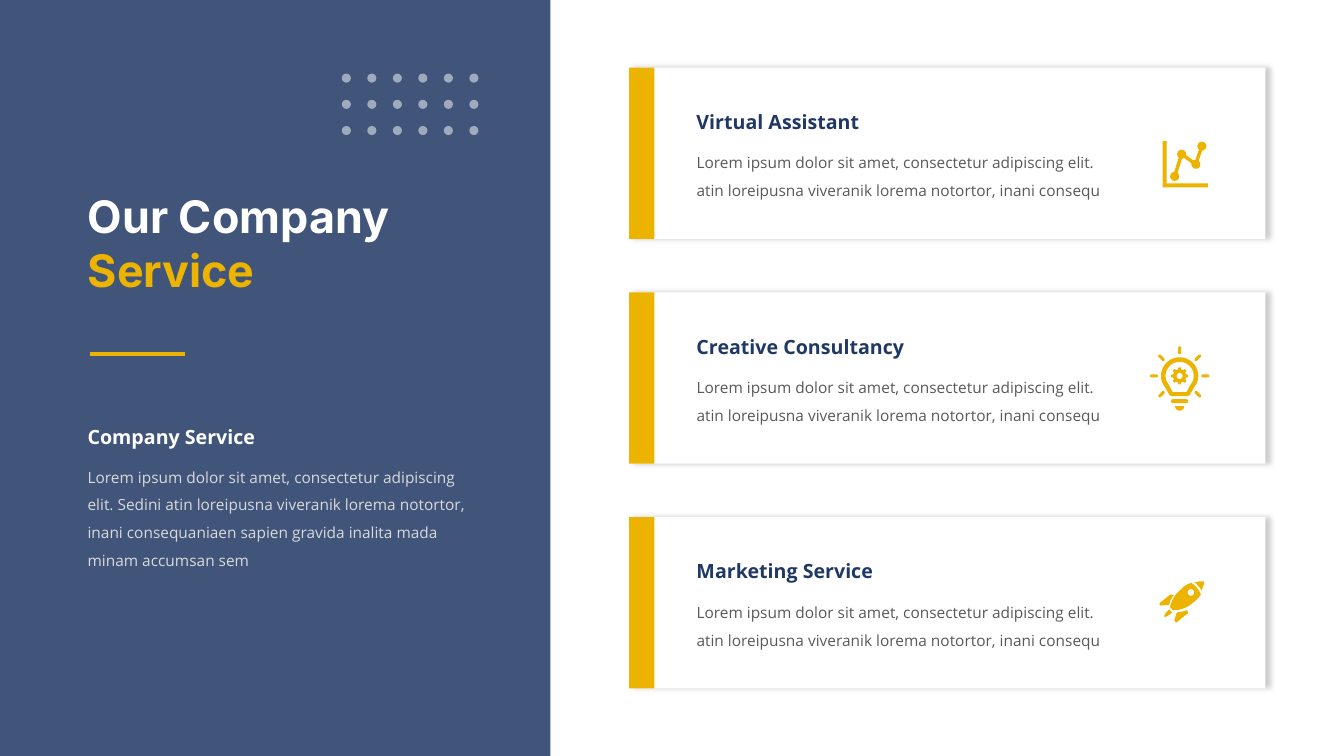
import math
import pptx
import pptx.util
import pptx.dml.color
import pptx.enum.shapes
import pptx.enum.text
import pptx.oxml
import pptx.oxml.ns

Inches = pptx.util.Inches
KIND = pptx.enum.shapes.MSO_SHAPE
NAVY, GOLD, WHITE, GREY, PALE = "203864", "ECB400", "FFFFFF", "595959", "D9D9D9"
NS = pptx.oxml.ns.nsdecls("a")


def tint(color, code):
    color.rgb = pptx.dml.color.RGBColor.from_string(code)


def paint(shape, code, alpha=None):
    shape.shadow.inherit = False
    shape.line.fill.background()
    shape.fill.solid()
    tint(shape.fill.fore_color, code)
    if alpha:
        node = shape.fill._xPr.find(".//" + pptx.oxml.ns.qn("a:srgbClr"))
        node.append(pptx.oxml.parse_xml(f'<a:alpha {NS} val="{alpha * 1000}"/>'))
    return shape


def block(slide, kind, x, y, w, h, code, alpha=None):
    shape = slide.shapes.add_shape(kind, Inches(x), Inches(y), Inches(w), Inches(h))
    return paint(shape, code, alpha)


def style(para, face, size, bold=False, code=None):
    para.font.name, para.font.size, para.font.bold = face, pptx.util.Pt(size), bold
    if code:
        tint(para.font.color, code)


def label(slide, x, y, w, h, text, size, code, bold=False, lead=None):
    box = slide.shapes.add_textbox(Inches(x), Inches(y), Inches(w), Inches(h))
    box.text_frame.word_wrap = True
    para = box.text_frame.paragraphs[0]
    para.text = text
    para.line_spacing = lead
    style(para, "Open Sans", size, bold, code)


# Outlines: a pair is a corner, six numbers are a cubic curve
def trace(steps):
    points = []
    for step in steps:
        if len(step) == 2:
            points.append(step)
            continue
        start = points[-1]
        for t in (n / 8 for n in range(1, 9)):
            s = 1 - t
            points.append(tuple(
                s**3 * start[i] + 3 * s * s * t * step[i]
                + 3 * s * t * t * step[i + 2] + t**3 * step[i + 4] for i in (0, 1)))
    return points


def arc(x, y, r, start, end, count=36):
    turns = (math.radians(start + (end - start) * n / count) for n in range(count + 1))
    return [(x + r * math.cos(a), y + r * math.sin(a)) for a in turns]


def outline(slide, x, y, *loops):
    build = None
    for loop in loops:
        points = [(Inches(x + a), Inches(y + b)) for a, b in trace(loop)]
        if build:
            build.move_to(*points[0])
        else:
            build = slide.shapes.build_freeform(*points[0])
        build.add_line_segments(points[1:], close=True)
    return paint(build.convert_to_shape(), GOLD)


# Icons, each placed from its top left corner
def chart(slide, x, y):
    x, y = x + 0.12, y + 0.2
    outline(slide, x, y, [(0, 0), (0.04, 0), (0.04, 0.42), (0.45, 0.42), (0.45, 0.46), (0, 0.46)])
    nodes = [(0.12, 0.35), (0.19, 0.13), (0.33, 0.23), (0.39, 0.05)]
    for (a, b), (c, d) in zip(nodes, nodes[1:]):
        long = math.hypot(c - a, d - b)
        u, v = (d - b) / long * 0.017, (a - c) / long * 0.017
        outline(slide, x, y, [(a + u, b + v), (c + u, d + v), (c - u, d - v), (a - u, b - v)])
    for a, b in nodes:
        block(slide, KIND.OVAL, x + a - 0.045, y + b - 0.045, 0.09, 0.09, GOLD)


def bulb(slide, x, y):
    x, y = x + 0.29, y + 0.3
    # Glass
    outline(slide, x, y,
            arc(0, 0, 0.185, 157, 383) + [(0.14, 0.12), (0.1, 0.19), (0.08, 0.2),
                                          (-0.08, 0.2), (-0.1, 0.19), (-0.14, 0.12)],
            arc(0, 0, 0.14, 157, 383) + [(0.1, 0.1), (0.07, 0.16), (-0.07, 0.16), (-0.1, 0.1)])
    # Gear
    rim = []
    for turn in range(0, 360, 45):
        for r, shift in ((0.065, -15), (0.085, -8), (0.085, 8), (0.065, 15)):
            a = math.radians(turn + shift)
            rim.append((r * math.cos(a), r * math.sin(a)))
    outline(slide, x, y, rim, arc(0, 0, 0.03, 0, 360))
    # Base
    base = block(slide, KIND.ROUNDED_RECTANGLE, x - 0.085, y + 0.23, 0.17, 0.04, GOLD)
    base.adjustments[0] = 0.5
    outline(slide, x, y + 0.3, arc(0, 0, 0.045, 0, 180))
    # Rays
    for turn in range(135, 406, 45):
        a = math.radians(turn)
        ray = block(slide, KIND.ROUNDED_RECTANGLE, x + 0.255 * math.cos(a) - 0.04,
                    y + 0.255 * math.sin(a) - 0.015, 0.08, 0.03, GOLD)
        ray.adjustments[0] = 0.5
        ray.rotation = turn


def rocket(slide, x, y):
    nose = [(0.53, 0.11), (0.52, 0.1, 0.47, 0.11, 0.43, 0.12),
            (0.45, 0.12, 0.46, 0.14, 0.47, 0.15), (0.49, 0.17, 0.5, 0.18, 0.51, 0.2),
            (0.52, 0.16, 0.54, 0.12, 0.53, 0.11)]
    left = [(0.23, 0.24), (0.21, 0.24), (0.2, 0.23, 0.19, 0.24, 0.19, 0.24), (0.1, 0.32),
            (0.08, 0.33, 0.1, 0.36, 0.11, 0.35), (0.19, 0.34), (0.19, 0.32, 0.2, 0.28, 0.23, 0.24)]
    right = [(0.36, 0.39), (0.32, 0.41, 0.29, 0.41, 0.26, 0.42), (0.24, 0.49),
             (0.24, 0.51, 0.26, 0.53, 0.27, 0.51), (0.36, 0.43),
             (0.37, 0.43, 0.37, 0.42, 0.37, 0.41)]
    hull = [(0.4, 0.12), (0.37, 0.13, 0.33, 0.15, 0.3, 0.19),
            (0.23, 0.25, 0.21, 0.32, 0.2, 0.37), (0.23, 0.4),
            (0.28, 0.4, 0.36, 0.38, 0.42, 0.32), (0.46, 0.29, 0.48, 0.26, 0.5, 0.23),
            (0.49, 0.21, 0.48, 0.19, 0.46, 0.17), (0.44, 0.15, 0.42, 0.13, 0.4, 0.12)]
    flame = [(0.2, 0.4), (0.19, 0.39, 0.19, 0.38, 0.18, 0.39),
             (0.16, 0.41, 0.13, 0.45, 0.14, 0.46), (0.15, 0.47, 0.19, 0.44, 0.21, 0.42),
             (0.22, 0.41, 0.21, 0.41, 0.2, 0.4)]
    port = arc(0.4, 0.215, 0.033, 0, 360)
    for loops in ([nose], [left], [right], [hull, port], [flame]):
        outline(slide, x, y, *loops).rotation = 2.8


# Left panel with heading and intro
def panel(slide, x, y, w, h):
    block(slide, KIND.RECTANGLE, x, y, w, h, NAVY, 85)
    for row in range(3):
        for col in range(6):
            block(slide, KIND.OVAL, x + 3.39 + col * 0.253, y + 0.73 + row * 0.26,
                  0.09, 0.09, WHITE, 50)
    title = slide.shapes.title
    slide.shapes._spTree.append(title._element)  # bring in front of the panel
    title.left, title.top = Inches(x + 0.77), Inches(y + 1.82)
    title.width, title.height = Inches(4.17), Inches(1.18)
    frame = title.text_frame
    frame.word_wrap = True
    frame.auto_size = pptx.enum.text.MSO_AUTO_SIZE.NONE
    frame.vertical_anchor = pptx.enum.text.MSO_ANCHOR.TOP
    para = frame.paragraphs[0]
    para.alignment = pptx.enum.text.PP_ALIGN.LEFT
    style(para, "Inter", 32, True)
    for text, code in (("Our Company ", WHITE), ("Service", GOLD)):
        run = para.add_run()
        run.text = text
        tint(run.font.color, code)
    rule = slide.shapes.add_connector(
        pptx.enum.shapes.MSO_CONNECTOR.STRAIGHT,
        Inches(x + 0.89), Inches(y + 3.51), Inches(x + 1.84), Inches(y + 3.51))
    rule.line.width = pptx.util.Pt(3)
    tint(rule.line.color, GOLD)
    rule._element.spPr.append(pptx.oxml.parse_xml(f"<a:effectLst {NS}/>"))
    label(slide, x + 0.77, y + 4.17, 2.5, 0.34, "Company Service", 14, WHITE, True)
    label(slide, x + 0.77, y + 4.5, 3.98, 1.18,
          "Lorem ipsum dolor sit amet, consectetur adipiscing elit. Sedini atin loreipusna "
          "viveranik lorema notortor, inani consequaniaen sapien gravida inalita mada "
          "minam accumsan sem", 11, PALE, lead=1.5)


# Service card
def card(slide, x, y, w, h, name, icon):
    base = block(slide, KIND.RECTANGLE, x, y, w, h, WHITE)
    base._element.spPr.find(pptx.oxml.ns.qn("a:effectLst")).append(pptx.oxml.parse_xml(
        f'<a:outerShdw {NS} blurRad="50800" dist="38100" dir="0" algn="l" rotWithShape="0">'
        '<a:srgbClr val="000000"><a:alpha val="20000"/></a:srgbClr></a:outerShdw>'))
    block(slide, KIND.RECTANGLE, x, y, 0.25, h, GOLD)
    label(slide, x + 0.57, y + 0.37, 3, 0.34, name, 14, NAVY, True)
    label(slide, x + 0.57, y + 0.71, 4.22, 0.62,
          "Lorem ipsum dolor sit amet, consectetur adipiscing elit. "
          "atin loreipusna viveranik lorema notortor, inani consequ", 11, GREY, lead=1.5)
    icon(slide, x + 5.17, y + (h - 0.64) / 2)


def main():
    deck = pptx.Presentation()
    deck.slide_width, deck.slide_height = Inches(13.33), Inches(7.5)
    slide = deck.slides.add_slide(deck.slide_layouts[5])
    panel(slide, 0, 0, 5.46, 7.5)
    cards = [("Virtual Assistant", chart), ("Creative Consultancy", bulb),
             ("Marketing Service", rocket)]
    for row, (name, icon) in enumerate(cards):
        card(slide, 6.24, 0.67 + row * 2.23, 6.31, 1.7, name, icon)
    deck.save("out.pptx")


if __name__ == "__main__":
    main()
